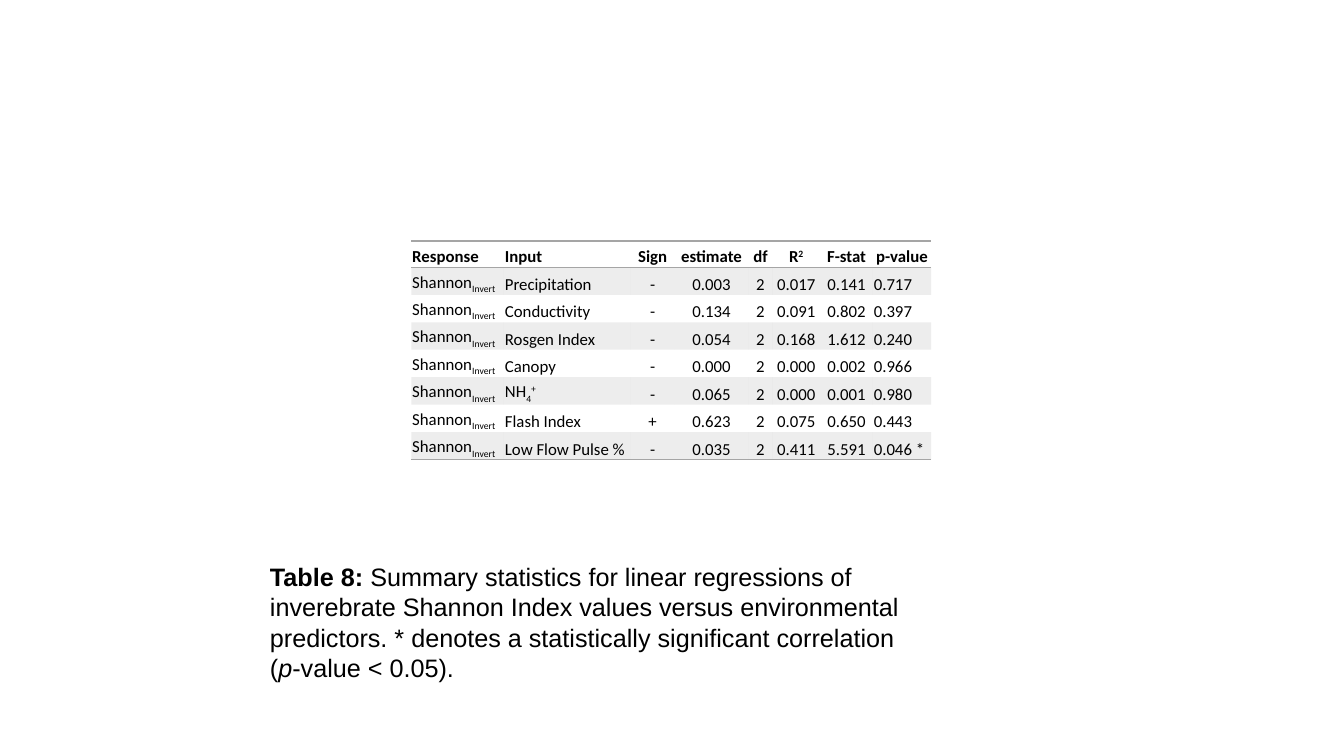
from lxml.etree import SubElement
from pptx import Presentation
from pptx.dml.color import RGBColor
from pptx.enum.text import MSO_ANCHOR, MSO_AUTO_SIZE, PP_ALIGN
from pptx.oxml.ns import qn
from pptx.util import Pt

COLORS = {"text": "000000", "gray": "A5A5A5"}
NO_STYLE_NO_GRID = "{2D5ABB26-0587-4C30-8999-92F81FD0307C}"
SUBSCRIPT, SUPERSCRIPT = -25, 30

COLUMN_WIDTHS = [66.24, 90.72, 30.96, 53.28, 16.56, 34.56, 37.44, 41.76]
HEADER_HEIGHT, ROW_HEIGHT = 18.9, 19.62
HEADER = ["Response", "Input", "Sign", "estimate", "df",
          [("R", {}), ("2", {"baseline": SUPERSCRIPT})], "F-stat", "p-value"]
RESPONSE = [("Shannon", {}), ("Invert", {"baseline": SUBSCRIPT})]
AMMONIUM = [("NH", {}), ("4", {"baseline": SUBSCRIPT}), ("+", {"baseline": SUPERSCRIPT})]
REGRESSIONS = [
    ("Precipitation", "-", "0.003", "2", "0.017", "0.141", "0.717"),
    ("Conductivity", "-", "0.134", "2", "0.091", "0.802", "0.397"),
    ("Rosgen Index", "-", "0.054", "2", "0.168", "1.612", "0.240"),
    ("Canopy", "-", "0.000", "2", "0.000", "0.002", "0.966"),
    (AMMONIUM, "-", "0.065", "2", "0.000", "0.001", "0.980"),
    ("Flash Index", "+", "0.623", "2", "0.075", "0.650", "0.443"),
    ("Low Flow Pulse %", "-", "0.035", "2", "0.411", "5.591", "0.046 *"),
]
CAPTION = [
    ("Table 8: ", {"bold": True}),
    ("Summary statistics for linear regressions of inverebrate Shannon Index values "
     "versus environmental predictors. * denotes a statistically significant "
     "correlation (", {}),
    ("p", {"italic": True}),
    ("-value < 0.05).", {}),
]


class SlideBuilder:
    def __init__(self, slide):
        self.slide = slide

    def add_spans(self, para, content, font_name, size, bold=False):
        """Fill a paragraph from a string or from (text, style) pairs."""
        for text, style in [(content, {})] if isinstance(content, str) else content:
            span = para.add_run()
            span.text = text
            span.font.name = font_name
            span.font.size = Pt(size)
            span.font.bold = style.get("bold", bold)
            span.font.italic = style.get("italic", False)
            span.font.color.rgb = RGBColor.from_string(COLORS["text"])
            if "baseline" in style:
                span.font._element.set("baseline", str(style["baseline"] * 1000))

    def caption(self, left, top, width, height, content):
        box = self.slide.shapes.add_textbox(Pt(left), Pt(top), Pt(width), Pt(height))
        frame = box.text_frame
        frame.word_wrap = True
        frame.auto_size = MSO_AUTO_SIZE.SHAPE_TO_FIT_TEXT
        self.add_spans(frame.paragraphs[0], content, "Arial", 18)

    def border(self, cell, side):
        line = SubElement(cell._tc.get_or_add_tcPr(), qn(f"a:ln{side}"), w=str(Pt(1)))
        fill = SubElement(line, qn("a:solidFill"))
        SubElement(fill, qn("a:srgbClr"), val=COLORS["gray"])

    def shade(self, cell):
        """Give a cell the gray fill at 20 % opacity."""
        cell.fill.solid()
        cell.fill.fore_color.rgb = RGBColor.from_string(COLORS["gray"])
        color = cell._tc.tcPr.find(qn("a:solidFill")).find(qn("a:srgbClr"))
        SubElement(color, qn("a:alpha"), val="20000")

    def table(self, left, top, rows):
        height = HEADER_HEIGHT + ROW_HEIGHT * (len(rows) - 1)
        table = self.slide.shapes.add_table(
            len(rows), len(COLUMN_WIDTHS), Pt(left), Pt(top),
            Pt(sum(COLUMN_WIDTHS)), Pt(height)).table
        table.first_row = table.horz_banding = False
        table._tbl.tblPr.find(qn("a:tableStyleId")).text = NO_STYLE_NO_GRID
        for column, width in zip(table.columns, COLUMN_WIDTHS):
            column.width = Pt(width)
        for row_index, values in enumerate(rows):
            table.rows[row_index].height = Pt(ROW_HEIGHT if row_index else HEADER_HEIGHT)
            for column_index, content in enumerate(values):
                self.cell(table.cell(row_index, column_index), content,
                          row_index, column_index, len(rows) - 1)

    def cell(self, cell, content, row_index, column_index, last_row):
        is_header = row_index == 0
        cell.margin_left = cell.margin_right = cell.margin_top = Pt(0.72)
        cell.margin_bottom = Pt(0)
        cell.vertical_anchor = MSO_ANCHOR.BOTTOM
        para = cell.text_frame.paragraphs[0]
        last_column = len(COLUMN_WIDTHS) - 1
        if 2 <= column_index < last_column or (is_header and column_index == last_column):
            para.alignment = PP_ALIGN.CENTER
        self.add_spans(para, content, "Calibri", 12, bold=is_header)
        if is_header:
            self.border(cell, "T")
        if row_index in (0, last_row):
            self.border(cell, "B")
        if row_index % 2:
            self.shade(cell)
        else:
            cell.fill.background()


def main():
    deck = Presentation()
    deck.slide_width, deck.slide_height = Pt(960), Pt(540)
    builder = SlideBuilder(deck.slides.add_slide(deck.slide_layouts[6]))
    builder.table(293.76, 172.08, [HEADER] + [(RESPONSE, *row) for row in REGRESSIONS])
    builder.caption(185.76, 397.44, 480.24, 94.32, CAPTION)
    deck.save("out.pptx")


if __name__ == "__main__":
    main()
